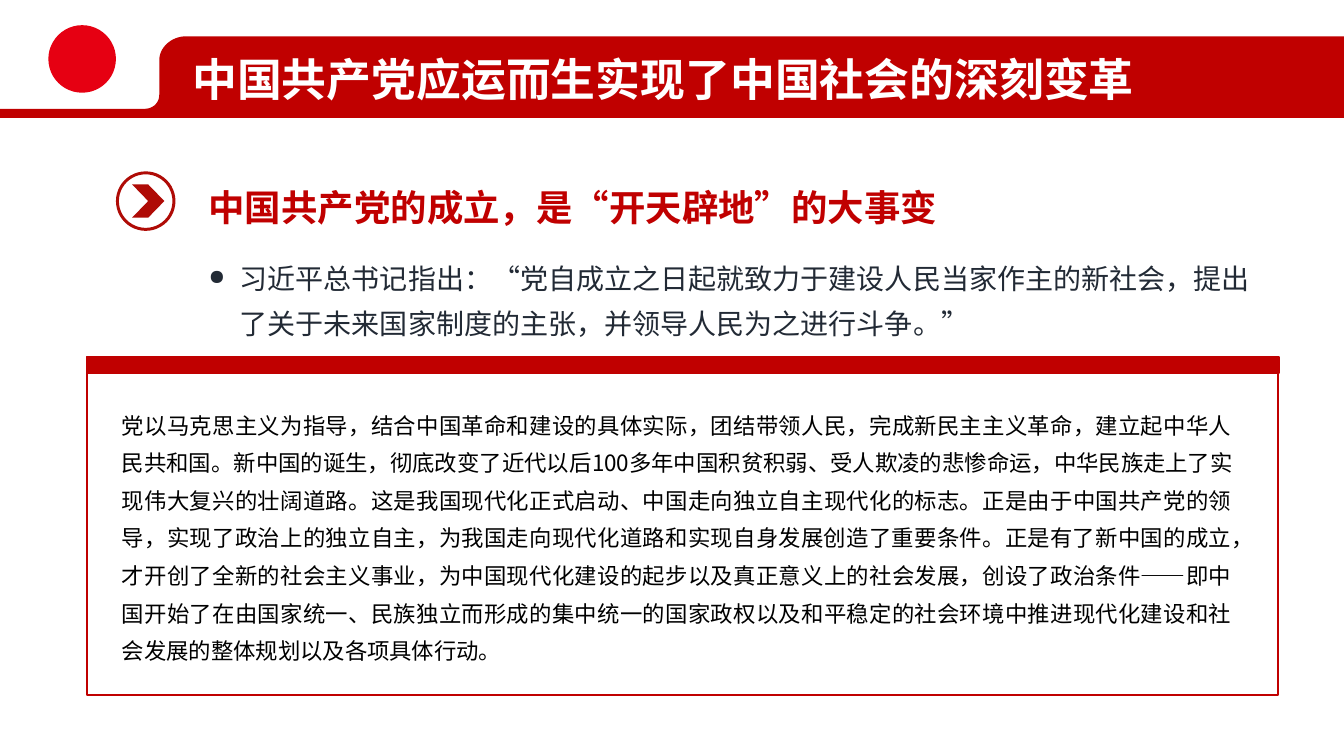
import pptx
import pptx.dml.color
import pptx.enum.shapes
import pptx.enum.text
import pptx.oxml.ns
import pptx.util
from lxml import etree

Inches = pptx.util.Inches
SHAPE = pptx.enum.shapes.MSO_SHAPE
ALIGN = pptx.enum.text.PP_ALIGN
ANCHOR = pptx.enum.text.MSO_ANCHOR
FIT = pptx.enum.text.MSO_AUTO_SIZE
FACE = "Noto Sans CJK SC"
RED = "C00000"

TITLE = "中国共产党应运而生实现了中国社会的深刻变革"
HEAD = "中国共产党的成立，是“开天辟地”的大事变"
QUOTE = (
    "习近平总书记指出：“党自成立之日起就致力于建设人民当家作主的新社会，"
    "提出了关于未来国家制度的主张，并领导人民为之进行斗争。”"
)
BODY = (
    "党以马克思主义为指导，结合中国革命和建设的具体实际，团结带领人民，"
    "完成新民主主义革命，建立起中华人民共和国。新中国的诞生，彻底改变了近代以后"
    "100多年中国积贫积弱、受人欺凌的悲惨命运，中华民族走上了实现伟大复兴的壮阔道路。"
    "这是我国现代化正式启动、中国走向独立自主现代化的标志。正是由于中国共产党的领导，"
    "实现了政治上的独立自主，为我国走向现代化道路和实现自身发展创造了重要条件。"
    "正是有了新中国的成立，才开创了全新的社会主义事业，为中国现代化建设的起步以及"
    "真正意义上的社会发展，创设了政治条件——即中国开始了在由国家统一、民族独立而形成的"
    "集中统一的国家政权以及和平稳定的社会环境中推进现代化建设和社会发展的整体规划"
    "以及各项具体行动。"
)

# text, box, font size, colour, bold, frame format, paragraph format, bullet
TEXTS = [
    (TITLE, (1.81, 0.2, 9.86, 1.15), 32, "FFFFFF", True,
     {"vertical_anchor": ANCHOR.MIDDLE}, {}, None),
    (HEAD, (1.97, 1.57, 9.29, 0.68), 26, RED, True,
     {"auto_size": FIT.SHAPE_TO_FIT_TEXT}, {"line_spacing": 1.5}, None),
    (QUOTE, (1.97, 2.43, 10.57, 0.96), 20, "222A35", False,
     {"auto_size": FIT.SHAPE_TO_FIT_TEXT}, {"line_spacing": 1.35}, "●"),
    (BODY, (1.11, 3.93, 11.22, 2.74), 16, "000000", False,
     {"auto_size": FIT.SHAPE_TO_FIT_TEXT},
     {"line_spacing": 1.4, "alignment": ALIGN.JUSTIFY}, None),
]

# preset, box, fill, line, adjustment
SHAPES = [
    (SHAPE.OVAL, (0.48, 0.25, 0.67, 0.67), "E60012", None, None),
    (SHAPE.DONUT, (1.15, 1.7, 0.59, 0.59), "AF0B06", None, 0.05),
    (SHAPE.CHEVRON, (1.31, 1.83, 0.32, 0.33), "AF0B06", None, 0.5),
    (SHAPE.RECTANGLE, (0.86, 3.54, 11.82, 3.36), "FFFFFF", RED, None),
    (SHAPE.RECTANGLE, (0.86, 3.54, 11.83, 0.16), RED, RED, None),
]

# banner outline: two straight runs, each followed by a rounded corner
LOWER = [(13.33, 0.36), (13.33, 1.17), (0, 1.17), (0, 1.08), (1.43, 1.08)]
FOOT = [(1.43, 1.08), (1.52, 1.08), (1.58, 1.02), (1.58, 0.94)]
TOP = [(1.58, 0.6), (1.58, 0.47), (1.7, 0.36), (1.85, 0.36)]


def color(code):
    return pptx.dml.color.RGBColor.from_string(code)


def curve(pts, steps=16):
    """Return points along a cubic Bezier curve."""
    out = []
    for i in range(steps + 1):
        t = i / steps
        parts = ((1 - t) ** 3, 3 * t * (1 - t) ** 2, 3 * t * t * (1 - t), t ** 3)
        out.append(tuple(sum(w * p[k] for w, p in zip(parts, pts)) for k in (0, 1)))
    return out


def paint(shape, fill, line=None):
    shape.shadow.inherit = False
    shape.fill.solid()
    shape.fill.fore_color.rgb = color(fill)
    if line:
        shape.line.fill.solid()
        shape.line.fill.fore_color.rgb = color(line)
        shape.line.width = pptx.util.Pt(1.5)
    else:
        shape.line.fill.background()


def banner(slide):
    pts = [(Inches(x), Inches(y)) for x, y in LOWER + curve(FOOT) + curve(TOP)]
    form = slide.shapes.build_freeform(*pts[0])
    form.add_line_segments(pts[1:], close=True)
    paint(form.convert_to_shape(), RED)


def preset(slide, kind, box, fill, line, adj):
    shape = slide.shapes.add_shape(kind, *map(Inches, box))
    if adj is not None:
        shape.adjustments[0] = adj
    paint(shape, fill, line)


def style(item, values):
    for key, value in values.items():
        setattr(item, key, value)


def write(slide, text, box, size, tint, bold, frame, para, mark):
    area = slide.shapes.add_textbox(*map(Inches, box)).text_frame
    style(area, {"word_wrap": True, **frame})
    line = area.paragraphs[0]
    if mark:
        props = line._p.get_or_add_pPr()
        props.set("marL", str(Inches(0.31)))
        props.set("indent", str(-Inches(0.31)))
        etree.SubElement(props, pptx.oxml.ns.qn("a:buSzPct"), val="75000")
        etree.SubElement(props, pptx.oxml.ns.qn("a:buChar"), char=mark)
    style(line, para)
    run = line.add_run()
    run.text = text
    style(run.font, {"size": pptx.util.Pt(size), "bold": bold, "name": FACE})
    run.font.color.rgb = color(tint)
    props = run._r.get_or_add_rPr()
    props.set("lang", "zh-CN")
    etree.SubElement(props, pptx.oxml.ns.qn("a:ea"), typeface=FACE)


def main():
    deck = pptx.Presentation()
    style(deck, {"slide_width": Inches(13.33), "slide_height": Inches(7.5)})
    slide = deck.slides.add_slide(deck.slide_layouts[6])
    banner(slide)
    for row in SHAPES:
        preset(slide, *row)
    for row in TEXTS:
        write(slide, *row)
    deck.save("out.pptx")


if __name__ == "__main__":
    main()
